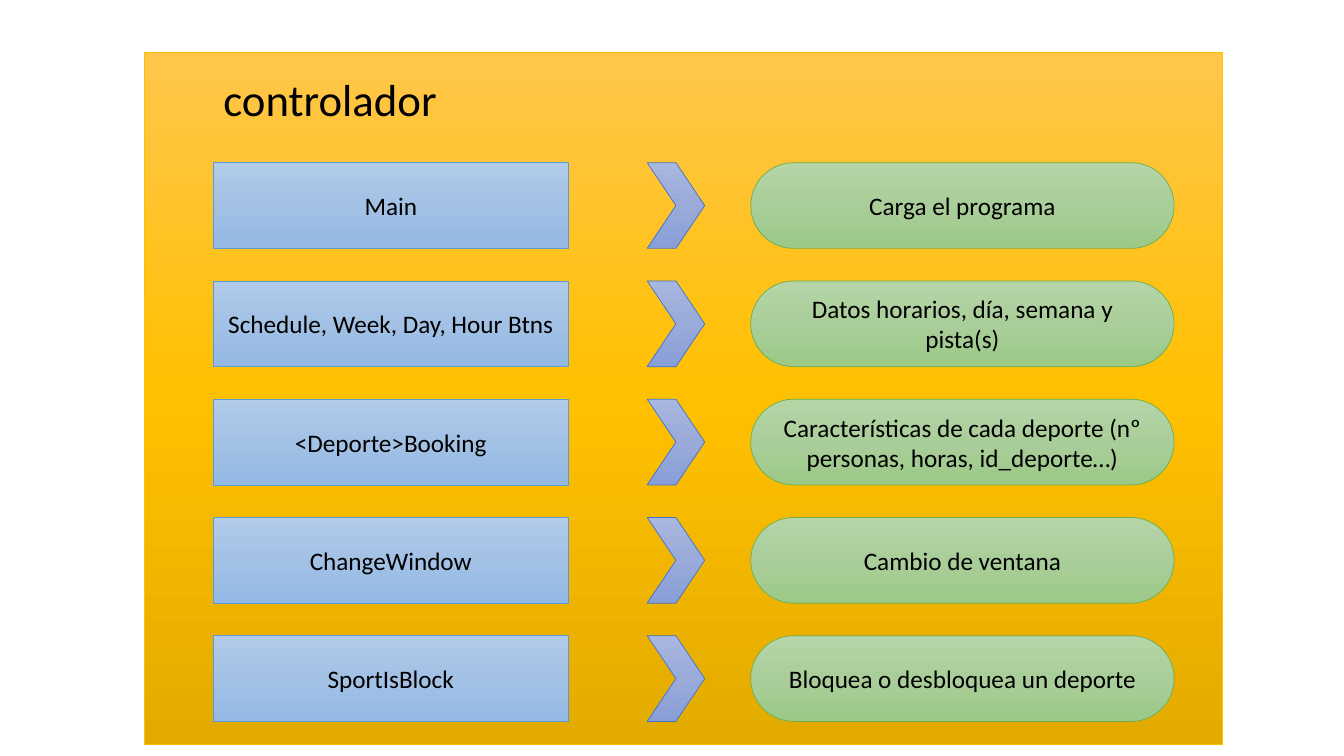
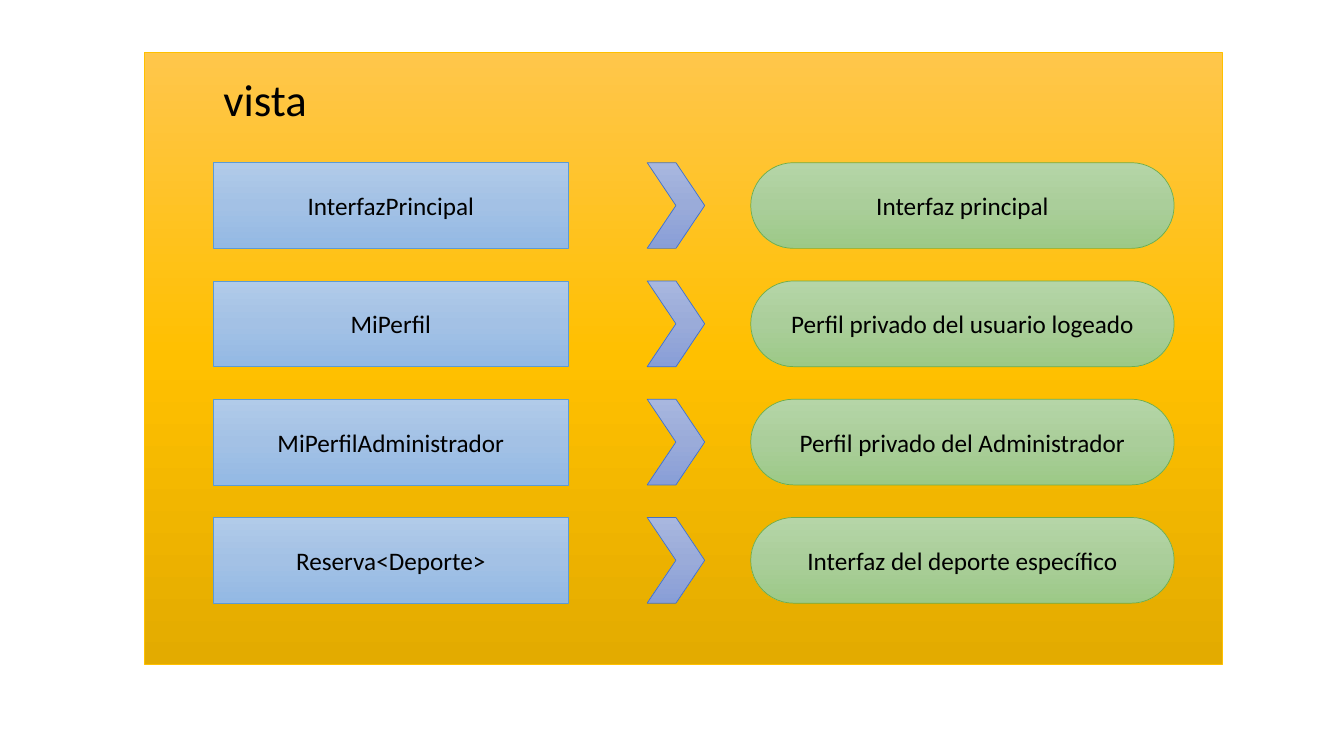
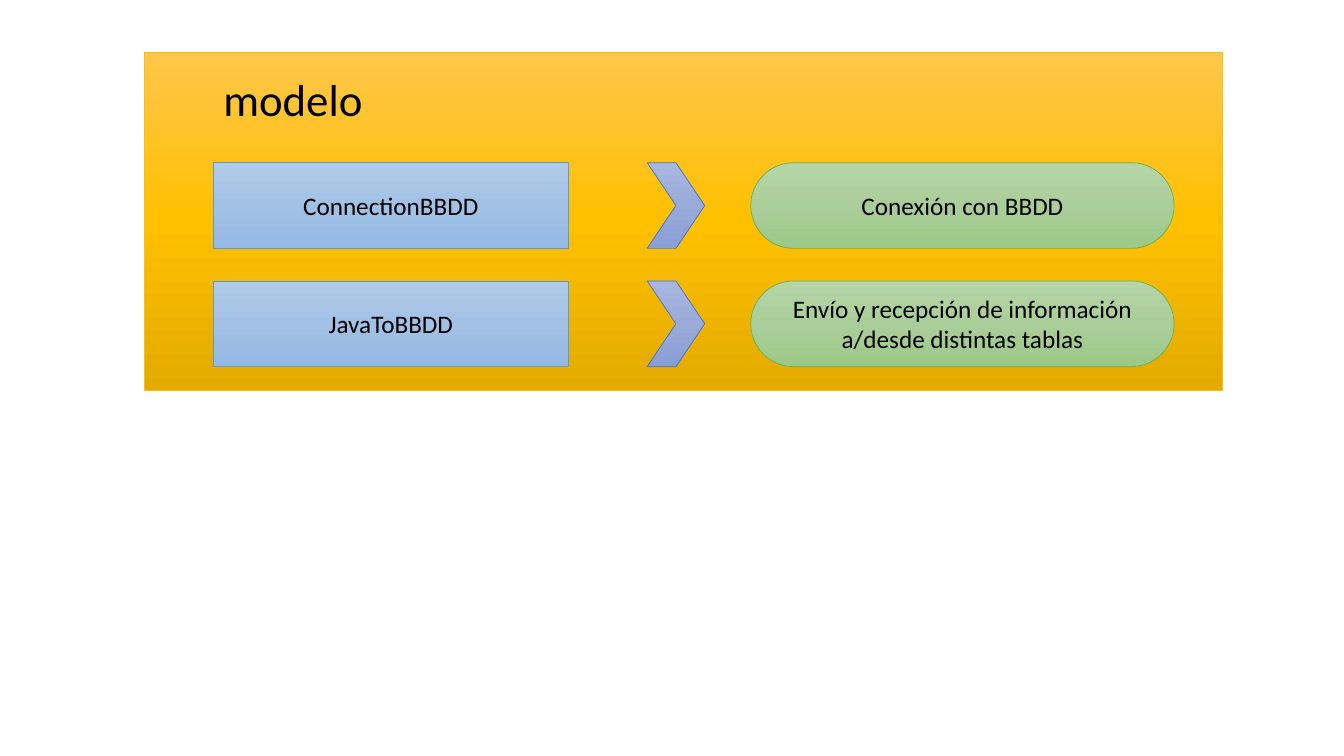
"""Three slides that map the classes of each application layer to their purpose."""
from copy import deepcopy

from pptx import Presentation
from pptx import util as u
from pptx.dml.color import RGBColor
from pptx.enum import shapes, text
from pptx.oxml.ns import qn

FONT = "Calibri"
INK = "000000"
GOLD = (("FFC64B", "FFC000", "E3AB00"), "FFC000")
BLUE = (("B1CBE9", "A3C1E5", "93B9E4"), "5B9BD5")
GREEN = (("B5D5A7", "AACE9A", "9CC987"), "70AD47")
INDIGO = (("A8B7DF", "9AABD9", "889ED7"), "4472C4")

PANEL_LEFT, PANEL_TOP, PANEL_WIDTH = 3.63, 1.32, 27.18
CLASS_LEFT, CLASS_WIDTH = 5.38, 8.94
ARROW_LEFT, ARROW_WIDTH = 16.31, 1.45
PURPOSE_LEFT, PURPOSE_WIDTH = 18.92, 10.67
FIRST_ROW, ROW_PITCH, ROW_HEIGHT = 4.1, 2.98, 2.16

LAYERS = [
    ("controlador", 17.45, [
        ("Main", "Carga el programa"),
        ("Schedule, Week, Day, Hour Btns", "Datos horarios, día, semana y pista(s)"),
        ("<Deporte>Booking",
         "Características de cada deporte (nº personas, horas, id_deporte…)"),
        ("ChangeWindow", "Cambio de ventana"),
        ("SportIsBlock", "Bloquea o desbloquea un deporte"),
    ]),
    ("vista", 15.42, [
        ("InterfazPrincipal", "Interfaz principal"),
        ("MiPerfil", "Perfil privado del usuario logeado"),
        ("MiPerfilAdministrador", "Perfil privado del Administrador"),
        ("Reserva<Deporte>", "Interfaz del deporte específico"),
    ]),
    ("modelo", 8.51, [
        ("ConnectionBBDD", "Conexión con BBDD"),
        ("JavaToBBDD", "Envío y recepción de información a/desde distintas tablas"),
    ]),
]


def colour(value):
    return RGBColor.from_string(value)


def box(left, top, width, height):
    return [u.Cm(length) for length in (left, top, width, height)]


def write(frame, words, size, align):
    frame.text = words
    frame.word_wrap = True
    paragraph = frame.paragraphs[0]
    paragraph.alignment = align
    font = paragraph.runs[0].font
    font.name, font.size = FONT, u.Pt(size)
    font.color.rgb = colour(INK)


def paint(block, stops, outline):
    block.shadow.inherit = False
    block.line.color.rgb = colour(outline)
    block.line.width = u.Pt(0.5)
    block.fill.gradient()
    block.fill.gradient_angle = 270
    stop_list = block.element.spPr.find(".//" + qn("a:gsLst"))
    stop_list.insert(1, deepcopy(stop_list[0]))
    for index, (stop, value) in enumerate(zip(block.fill.gradient_stops, stops)):
        stop.position = index / (len(stops) - 1)
        stop.color.rgb = colour(value)


def add_block(slide, preset, place, palette, words=None):
    block = slide.shapes.add_shape(preset, *box(*place))
    paint(block, *palette)
    if words:
        write(block.text_frame, words, 18, text.PP_ALIGN.CENTER)
        block.text_frame.vertical_anchor = text.MSO_ANCHOR.MIDDLE
    return block


def add_heading(slide, words):
    heading = slide.shapes.add_textbox(*box(CLASS_LEFT, 1.68, 6.6, 1.63))
    write(heading.text_frame, words, 32, text.PP_ALIGN.LEFT)


def add_row(slide, top, class_name, purpose):
    preset = shapes.MSO_SHAPE
    add_block(slide, preset.RECTANGLE,
              (CLASS_LEFT, top, CLASS_WIDTH, ROW_HEIGHT), BLUE, class_name)
    add_block(slide, preset.CHEVRON,
              (ARROW_LEFT, top, ARROW_WIDTH, ROW_HEIGHT), INDIGO)
    pill = add_block(slide, preset.ROUNDED_RECTANGLE,
                     (PURPOSE_LEFT, top, PURPOSE_WIDTH, ROW_HEIGHT), GREEN, purpose)
    pill.adjustments[0] = 0.5


def add_layer(deck, name, panel_height, rows):
    slide = deck.slides.add_slide(deck.slide_layouts[6])
    add_block(slide, shapes.MSO_SHAPE.RECTANGLE,
              (PANEL_LEFT, PANEL_TOP, PANEL_WIDTH, panel_height), GOLD)
    add_heading(slide, name)
    for index, (class_name, purpose) in enumerate(rows):
        add_row(slide, FIRST_ROW + index * ROW_PITCH, class_name, purpose)


def main():
    deck = Presentation()
    deck.slide_width, deck.slide_height = u.Cm(33.87), u.Cm(19.05)
    for layer in LAYERS:
        add_layer(deck, *layer)
    deck.save("out.pptx")


if __name__ == "__main__":
    main()
